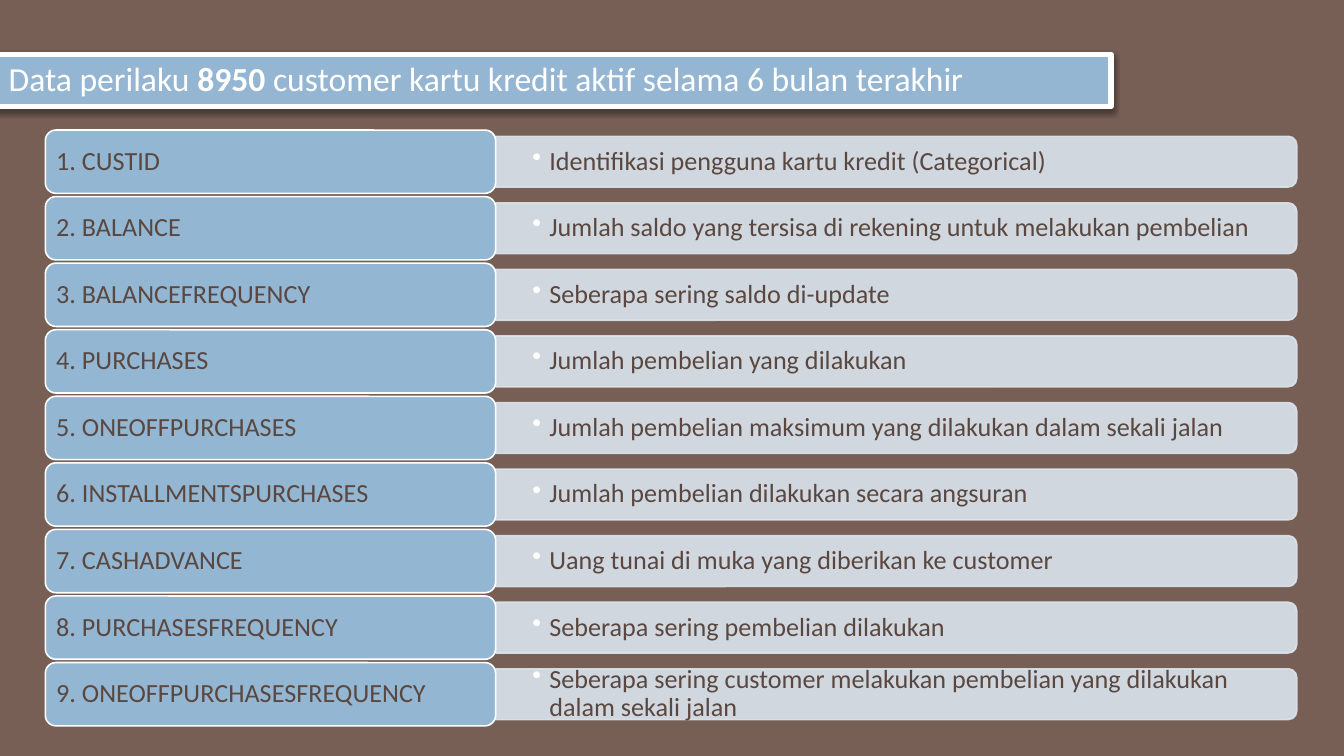
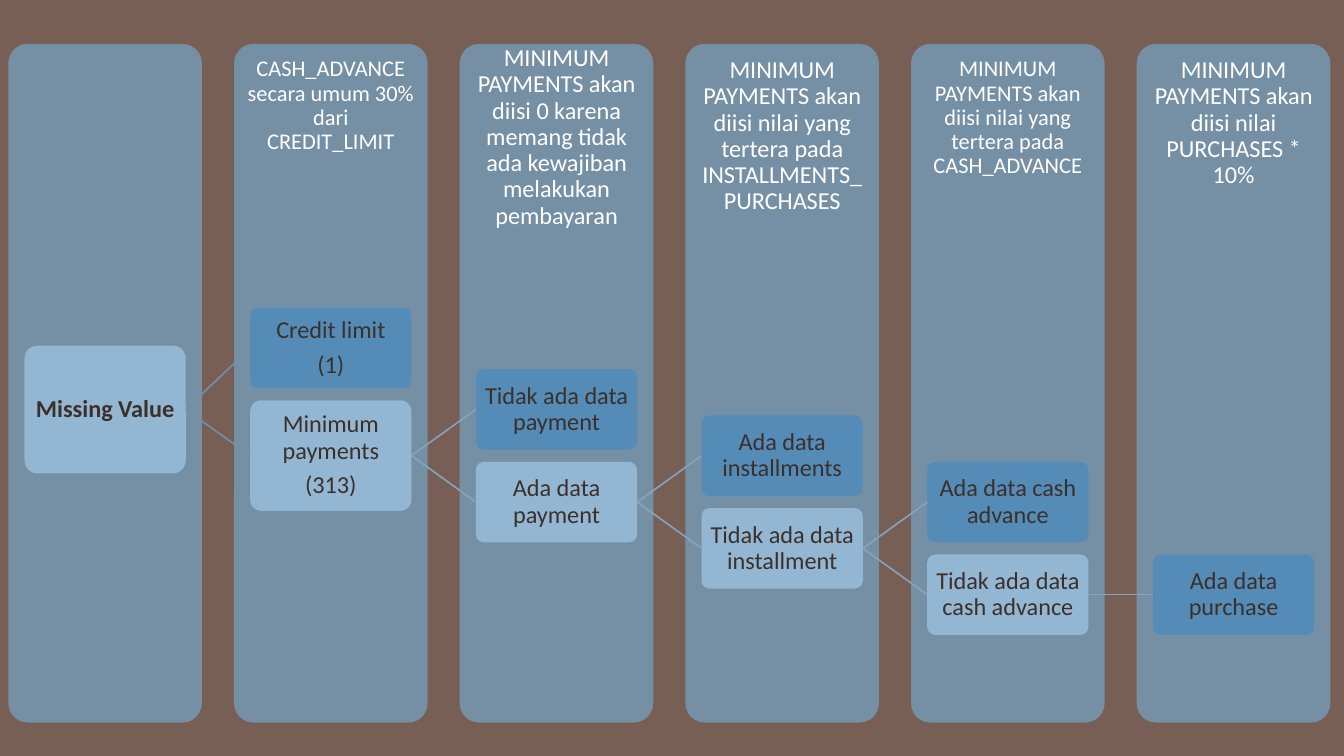
import lxml.etree
import pptx
import pptx.dml.color
import pptx.enum.shapes
import pptx.enum.text
import pptx.oxml.ns
import pptx.util

Pt = pptx.util.Pt
qn = pptx.oxml.ns.qn
SHAPES = pptx.enum.shapes.MSO_SHAPE
ANCHOR = pptx.enum.text.MSO_ANCHOR
ALIGN = pptx.enum.text.PP_ALIGN

COLORS = {
    "background": "775F55",
    "white": "FFFFFF",
    "title": "94B6D2",
    "label": "93B6D2",
    "bar": "DBE5EE",
    "row_text": "594740",
    "column": "7590A5",
    "leaf": "548BB7",
    "branch": "93B6D2",
    "card_text": "3C302A",
    "link": "85A4BD",
}

VARIABLES = [
    ("CUSTID", "Identifikasi pengguna kartu kredit (Categorical)"),
    ("BALANCE", "Jumlah saldo yang tersisa di rekening untuk melakukan pembelian"),
    ("BALANCEFREQUENCY", "Seberapa sering saldo di-update"),
    ("PURCHASES", "Jumlah pembelian yang dilakukan"),
    ("ONEOFFPURCHASES", "Jumlah pembelian maksimum yang dilakukan dalam sekali jalan"),
    ("INSTALLMENTSPURCHASES", "Jumlah pembelian dilakukan secara angsuran"),
    ("CASHADVANCE", "Uang tunai di muka yang diberikan ke customer"),
    ("PURCHASESFREQUENCY", "Seberapa sering pembelian dilakukan"),
    ("ONEOFFPURCHASESFREQUENCY",
     "Seberapa sering customer melakukan pembelian yang dilakukan dalam sekali jalan"),
]

# Column header: text, size, top
HEADERS = [
    None,
    ("CASH_ADVANCE secara umum 30% dari CREDIT_LIMIT", 12, 23.6),
    ("MINIMUM PAYMENTS akan diisi 0 karena memang tidak ada kewajiban "
     "melakukan pembayaran", 13, 17.2),
    ("MINIMUM PAYMENTS akan diisi nilai yang tertera pada INSTALLMENTS_PURCHASES", 13, 23.6),
    ("MINIMUM PAYMENTS akan diisi nilai yang tertera pada CASH_ADVANCE", 12, 23.6),
    ("MINIMUM PAYMENTS akan diisi nilai PURCHASES * 10%", 13, 23.6),
]

# Cards of each column: role, text, top, height; the branch card leads to the next column
LEVELS = [
    [("branch", "**Missing Value**", 185.2, 68.4)],
    [("leaf", "Credit limit\n(1)", 164.9, 43.2),
     ("branch", "Minimum payments\n(313)", 214.5, 59.2)],
    [("leaf", "Tidak ada data payment", 197.8, 43.2),
     ("branch", "Ada data payment", 247.4, 43.2)],
    [("leaf", "Ada data installments", 222.6, 43.2),
     ("branch", "Tidak ada data installment", 272.2, 43.2)],
    [("leaf", "Ada data cash advance", 247.4, 43.2),
     ("branch", "Tidak ada data cash advance", 297, 43.2)],
    [("leaf", "Ada data purchase", 297, 43.2)],
]


def rgb(name):
    return pptx.dml.color.RGBColor.from_string(COLORS[name])


def apply(target, values):
    for name, value in values.items():
        setattr(target, name, value)


class Deck:
    font = "Calibri"

    def __init__(self, width, height):
        self.presentation = pptx.Presentation()
        apply(self.presentation, {"slide_width": Pt(width), "slide_height": Pt(height)})
        self.slide = None

    def add_slide(self):
        self.slide = self.presentation.slides.add_slide(self.presentation.slide_layouts[6])
        fill = self.slide.background.fill
        fill.solid()
        fill.fore_color.rgb = rgb("background")

    def shape(self, kind, box, fill, line=None, weight=0.85, adjustments=()):
        shape = self.slide.shapes.add_shape(kind, *map(Pt, box))
        shape.shadow.inherit = False
        shape.fill.solid()
        shape.fill.fore_color.rgb = rgb(fill)
        if line:
            shape.line.color.rgb = rgb(line)
            shape.line.width = Pt(weight)
        else:
            shape.line.fill.background()
        for index, value in enumerate(adjustments):
            shape.adjustments[index] = value
        return shape

    def text_box(self, box, text, **style):
        shape = self.slide.shapes.add_textbox(*map(Pt, box))
        self.set_text(shape, text, **style)
        return shape

    def set_text(self, shape, text, size, color, margins, align=ALIGN.LEFT,
                 anchor=ANCHOR.MIDDLE, spacing=0.9):
        """Fill a shape with one paragraph per line; **marks** make bold runs."""
        frame = shape.text_frame
        across, down = map(Pt, margins)
        apply(frame, {"word_wrap": True, "vertical_anchor": anchor,
                      "margin_left": across, "margin_right": across,
                      "margin_top": down, "margin_bottom": down})
        for number, line in enumerate(text.split("\n")):
            paragraph = frame.add_paragraph() if number else frame.paragraphs[0]
            apply(paragraph, {"alignment": align, "line_spacing": spacing,
                              "space_before": Pt(4.5 if number else 0)})
            for index, part in enumerate(line.split("**")):
                if part:
                    run = paragraph.add_run()
                    run.text = part
                    apply(run.font, {"name": self.font, "size": Pt(size),
                                     "bold": index % 2 == 1})
                    run.font.color.rgb = rgb(color)

    def link(self, start, end, color):
        """Join the right side of one card to the left side of another."""
        connector = self.slide.shapes.add_connector(
            pptx.enum.shapes.MSO_CONNECTOR.STRAIGHT, 0, 0, 0, 0)
        connector.begin_connect(start, 3)
        connector.end_connect(end, 1)
        connector.line.color.rgb = rgb(color)
        connector.line.width = Pt(0.85)
        lxml.etree.SubElement(connector.element.spPr, qn("a:effectLst"))

    @staticmethod
    def set_alpha(element, percent):
        for color in element.iter(qn("a:srgbClr")):
            lxml.etree.SubElement(color, qn("a:alpha"), val=str(percent * 1000))

    @staticmethod
    def add_bullet(shape, color, indent):
        properties = shape.text_frame.paragraphs[0]._p.get_or_add_pPr()
        hanging = {"marL": int(Pt(indent)), "indent": -int(Pt(indent)), "lvl": 1}
        for name, value in hanging.items():
            properties.set(name, str(value))
        bullet_color = lxml.etree.SubElement(properties, qn("a:buClr"))
        lxml.etree.SubElement(bullet_color, qn("a:srgbClr"), val=COLORS[color])
        lxml.etree.SubElement(properties, qn("a:buChar"), char="•")

    def drop_shadow(self, shape, blur, distance, direction, percent):
        effects = shape.element.spPr.find(qn("a:effectLst"))
        shadow = lxml.etree.SubElement(
            effects, qn("a:outerShdw"), blurRad=str(int(Pt(blur))),
            dist=str(int(Pt(distance))), dir=str(direction * 60000), rotWithShape="0")
        lxml.etree.SubElement(shadow, qn("a:srgbClr"), val="000000")
        self.set_alpha(shadow, percent)


def build_variables(deck):
    deck.add_slide()
    label_left, label_width, label_height = 24.3, 241.2, 33.9
    bar_left, bar_width, bar_height = 265.5, 429.2, 27.2
    first_top, pitch = 69.7, 35.66

    for number, (name, meaning) in enumerate(VARIABLES):
        top = first_top + number * pitch
        middle = top + label_height / 2
        # Turned a quarter, so width and height trade places around the centre
        bar = deck.shape(
            SHAPES.ROUND_2_SAME_RECTANGLE,
            (bar_left + (bar_width - bar_height) / 2, middle - bar_width / 2,
             bar_height, bar_width),
            "bar", "bar", adjustments=(0.167, 0))
        bar.rotation = 90
        deck.set_alpha(bar.element.spPr, 90)
        description = deck.text_box(
            (bar_left + 0.6, middle - 12.3, 428.2, 24.6), meaning,
            size=14, color="row_text", margins=(19.2, 9.9))
        deck.add_bullet(description, "white", 9)
        label = deck.shape(SHAPES.ROUNDED_RECTANGLE,
                           (label_left, top, label_width, label_height),
                           "label", "white", adjustments=(0.167,))
        deck.set_text(label, f"{number + 1}. {name}", size=14, color="row_text",
                      margins=(4.2, 2.1))

    title = deck.shape(SHAPES.RECTANGLE, (-2.4, 29.2, 597.6, 28), "title", "white", 3)
    deck.drop_shadow(title, 3.1, 1.6, 90, 38)
    deck.set_text(title, "Data perilaku **8950** customer kartu kredit aktif selama 6 bulan terakhir",
                  size=18, color="white", margins=(7.2, 3.6), anchor=ANCHOR.TOP, spacing=0.95)


def build_missing_values(deck):
    deck.add_slide()
    first_left, pitch, column_width = 4.5, 120.9, 103.7
    card_width = 86.4
    parent = None

    for index, (header, cards) in enumerate(zip(HEADERS, LEVELS)):
        left = first_left + index * pitch
        deck.shape(SHAPES.ROUNDED_RECTANGLE, (left, 23.5, column_width, 363.6),
                   "column", adjustments=(0.1,))
        if header:
            text, size, top = header
            deck.text_box((left, top, column_width, 109), text, size=size, color="white",
                          margins=(7.2, 7.2), align=ALIGN.CENTER, anchor=ANCHOR.TOP)
        next_parent = None
        for role, text, top, height in cards:
            card = deck.shape(
                SHAPES.ROUNDED_RECTANGLE,
                (left + (column_width - card_width) / 2, top, card_width, height),
                role, adjustments=(0.1,))
            deck.set_text(card, text, size=13, color="card_text", margins=(0.7, 0.7),
                          align=ALIGN.CENTER)
            if parent:
                deck.link(parent, card, "column" if index == 1 else "link")
            if role == "branch":
                next_parent = card
        parent = next_parent


def main():
    deck = Deck(720, 405)
    build_variables(deck)
    build_missing_values(deck)
    deck.presentation.save("out.pptx")


if __name__ == "__main__":
    main()
